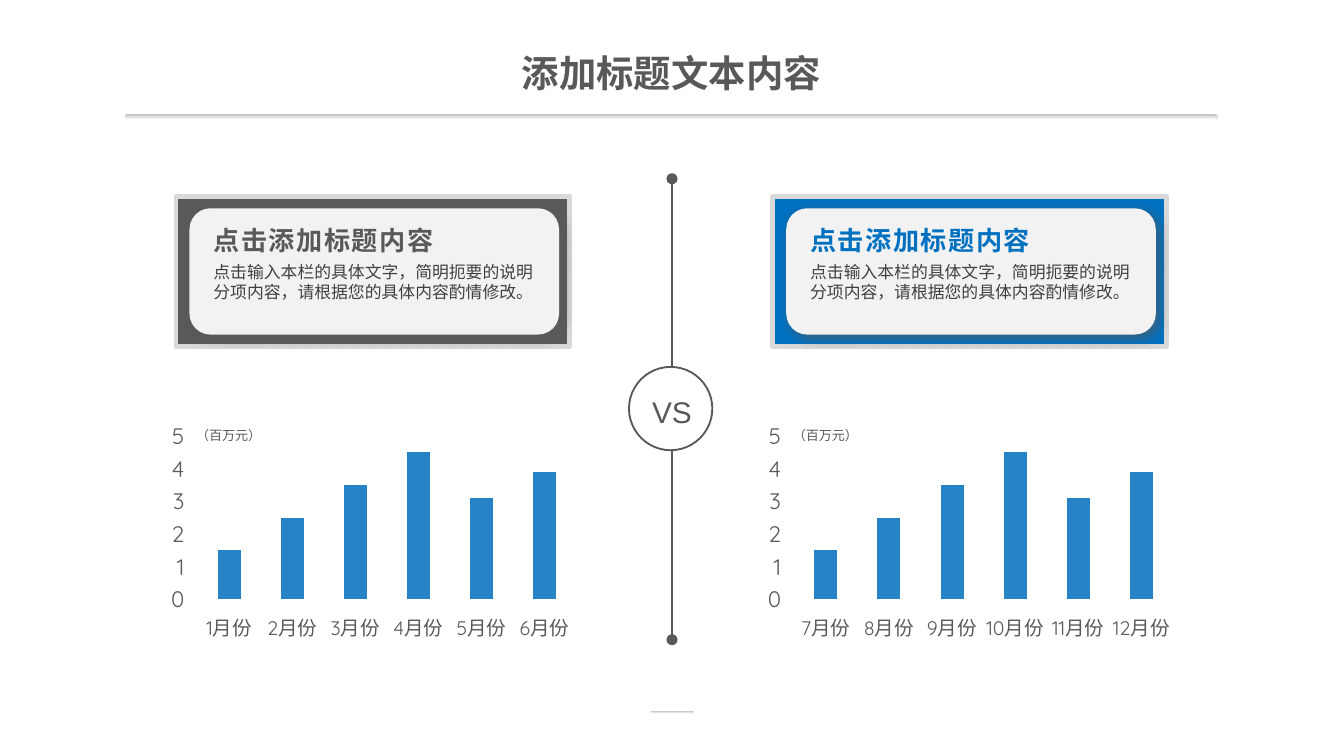
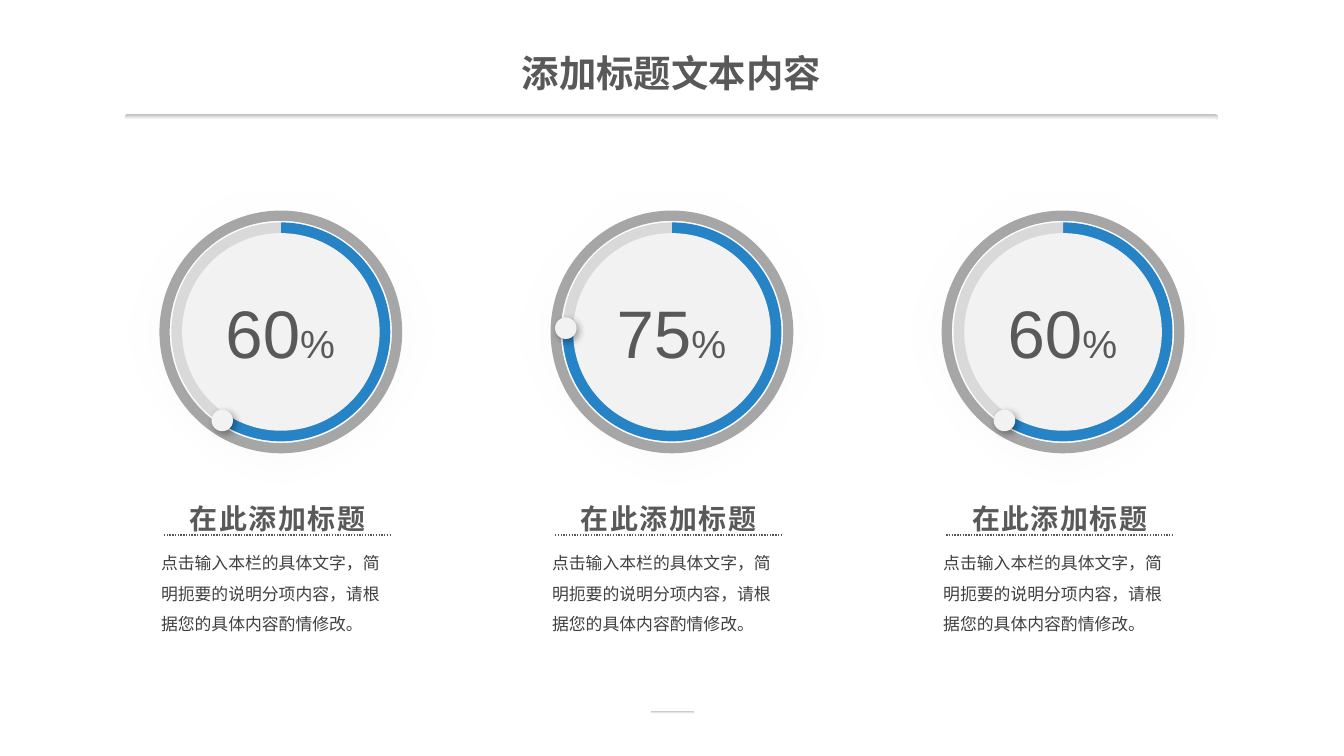
from dataclasses import dataclass
from math import cos, radians, sin

from lxml import etree
from pptx import Presentation
from pptx import util as u
from pptx.chart.data import CategoryChartData
from pptx.dml.color import RGBColor
from pptx.enum import chart as ch, dml, shapes, text
from pptx.oxml import parse_xml
from pptx.oxml.ns import nsdecls, qn

OVAL = shapes.MSO_SHAPE.OVAL
ROUND = shapes.MSO_SHAPE.ROUNDED_RECTANGLE
LEFT, MID = text.PP_ALIGN.LEFT, text.PP_ALIGN.CENTER
TIGHT = (0.07, 0.04)
WIDE = 10
HIGH = WIDE * 9 / 16


@dataclass(frozen=True)
class Theme:
    ink: str = "595959"
    body: str = "404040"
    blue: str = "0070C0"
    bar: str = "2683C6"
    track: str = "D9D9D9"
    ring: str = "A6A6A6"
    rule: str = "BFBFBF"
    pale: str = "F2F2F2"
    white: str = "FFFFFF"
    black: str = "000000"
    font: str = "Arial"
    han: str = "Noto Sans CJK SC"
    digit: str = "Quicksand"
    plain: str = "DejaVu Sans"
    title: float = 20
    head: float = 14
    label: float = 15
    versus: float = 16
    note: float = 9
    unit: float = 7
    chart: float = 10
    month: float = 10.5
    scale: float = 12
    score: float = 36
    sign: float = 21


def rgb(code):
    return RGBColor.from_string(code)


def inch(*sizes):
    return [u.Inches(size) for size in sizes]


def disc(x, y, size):
    return x - size / 2, y - size / 2, size, size


class Deck:
    def __init__(self, theme):
        self.theme = theme
        self.file = Presentation()
        self.file.slide_width, self.file.slide_height = inch(WIDE, HIGH)
        self.slide = None

    def start(self, title):
        t = self.theme
        self.slide = self.file.slides.add_slide(self.file.slide_layouts[6])
        for at in ((0.93, 0.85, 8.13, 0.04), (4.84, 5.29, 0.32, 0.02)):
            self.shape(ROUND, at, fill=(t.rule, t.white), adj=0.5)
        self.text((3.07, 0.33, 3.85, 0.41), [(title, t.title)],
                  align=MID, bold=True, pad=TIGHT)

    def shape(self, kind, at, fill=None, line=None, width=1, adj=None, shade=None):
        item = self.slide.shapes.add_shape(kind, *inch(*at))
        item.shadow.inherit = False
        if adj is not None:
            item.adjustments[0] = adj
        if fill is None:
            item.fill.background()
        elif isinstance(fill, tuple):
            item.fill.gradient()
            item.fill.gradient_angle = 270
            for stop, code in zip(item.fill.gradient_stops, fill):
                stop.color.rgb = rgb(code)
        else:
            item.fill.solid()
            item.fill.fore_color.rgb = rgb(fill)
        if line:
            item.line.color.rgb = rgb(line)
            item.line.width = u.Pt(width)
        else:
            item.line.fill.background()
        if shade:
            self.shade(item, *shade)
        return item

    def shade(self, item, code, alpha, blur, dist):
        item._element.spPr.find(qn("a:effectLst")).append(parse_xml(
            f'<a:outerShdw {nsdecls("a")} blurRad="{u.Pt(blur)}" dist="{u.Pt(dist)}" '
            f'dir="2700000" algn="tl" rotWithShape="0"><a:srgbClr val="{code}">'
            f'<a:alpha val="{alpha * 1000}"/></a:srgbClr></a:outerShdw>'))

    def glow(self, at):
        t = self.theme
        props = self.shape(OVAL, at, fill=(t.white, t.rule))._element.spPr
        for code in props.iter(qn("a:srgbClr")):
            etree.SubElement(code, qn("a:alpha")).set("val", "5000")
        edge = etree.SubElement(props.find(qn("a:effectLst")), qn("a:softEdge"))
        edge.set("rad", str(u.Inches(0.2)))

    def line(self, start, end, width, dash=None, dot=False):
        item = self.slide.shapes.add_connector(
            shapes.MSO_CONNECTOR.STRAIGHT, *inch(*start, *end))
        item.line.color.rgb = rgb(self.theme.ink)
        item.line.width = u.Pt(width)
        if dash:
            item.line.dash_style = dash
        props = item._element.spPr
        if dot:
            etree.SubElement(props.find(qn("a:ln")), qn("a:tailEnd")).set("type", "oval")
        etree.SubElement(props, qn("a:effectLst"))

    def text(self, at, runs, color=None, font=None, align=LEFT, bold=False,
             space=0, lead=None, pad=(0.1, 0.05), wrap=True):
        t = self.theme
        frame = self.slide.shapes.add_textbox(*inch(*at)).text_frame
        frame.word_wrap = wrap
        frame.auto_size = text.MSO_AUTO_SIZE.SHAPE_TO_FIT_TEXT
        frame.margin_left = frame.margin_right = u.Inches(pad[0])
        frame.margin_top = frame.margin_bottom = u.Inches(pad[1])
        para = frame.paragraphs[0]
        para.alignment = align
        para.line_spacing = lead
        for words, size in runs:
            run = para.add_run()
            run.text = words
            run.font.name = font or t.font
            run.font.size = u.Pt(size)
            run.font.bold = bold
            run.font.color.rgb = rgb(color or t.ink)
            props = run._r.get_or_add_rPr()
            etree.SubElement(props, qn("a:ea")).set("typeface", t.han)
            if space:
                props.set("spc", str(round(space * 100)))

    def note(self, at, words, lead=None):
        t = self.theme
        self.text(at, [(words, t.note)], color=t.body, font=t.han, lead=lead)

    def chart(self, kind, at, names, vals, inner):
        t = self.theme
        data = CategoryChartData()
        data.categories = names
        data.add_series("Series 1", vals)
        chart = self.slide.shapes.add_chart(kind, *inch(*at), data).chart
        chart.has_title = chart.has_legend = False
        chart.font.name, chart.font.size = t.plain, u.Pt(t.chart)
        chart.font.color.rgb = rgb(t.black)
        area = chart._chartSpace.find(".//" + qn("c:plotArea"))
        for old in area.findall(qn("c:layout")):
            area.remove(old)
        parts = "".join(f'<c:{key} val="{val:.4f}"/>' for key, val in zip("xywh", inner))
        area.insert(0, parse_xml(
            f'<c:layout {nsdecls("c")}><c:manualLayout><c:layoutTarget val="inner"/>'
            f'<c:xMode val="edge"/><c:yMode val="edge"/>{parts}'
            f'</c:manualLayout></c:layout>'))
        return chart

    def bars(self, at, names, vals):
        t = self.theme
        chart = self.chart(ch.XL_CHART_TYPE.COLUMN_CLUSTERED, at, names, vals,
                           (0.08, 0.08, 0.9, 0.72))
        plot = chart.plots[0]
        plot.vary_by_categories = False
        plot.gap_width, plot.overlap = 175, -27
        fill = plot.series[0].format.fill
        fill.solid()
        fill.fore_color.rgb = rgb(t.bar)
        for axis, size in ((chart.category_axis, t.month), (chart.value_axis, t.scale)):
            axis.has_major_gridlines = False
            axis.major_tick_mark = ch.XL_TICK_MARK.OUTSIDE
            axis.format.line.fill.background()
            font = axis.tick_labels.font
            font.name, font.size = t.digit, u.Pt(size)
            font.color.rgb = rgb(t.ink)
        axis = chart.value_axis
        axis.minimum_scale, axis.maximum_scale, axis.major_unit = 0, 5, 1

    def donut(self, x, y, score):
        t = self.theme
        wide, high, size = 2.22, 1.91, 1.63
        inner = ((1 - size / wide) / 2, (1 - size / high) / 2, size / wide, size / high)
        chart = self.chart(ch.XL_CHART_TYPE.DOUGHNUT,
                           (x - wide / 2, y - high / 2, wide, high),
                           ("1", "2"), (score, 100 - score), inner)
        chart._chartSpace.find(".//" + qn("c:holeSize")).set("val", "86")
        for spot, code in enumerate((t.bar, t.track)):
            part = chart.plots[0].series[0].points[spot].format
            part.fill.solid()
            part.fill.fore_color.rgb = rgb(code)
            part.line.fill.background()

    def card(self, x, color, head, words):
        t = self.theme
        self.shape(ROUND, (x, 1.46, 2.93, 1.12), fill=color,
                   line=t.track, width=2.5, adj=0)
        self.shape(ROUND, (x + 0.1, 1.55, 2.75, 0.94), fill=t.pale,
                   shade=(t.ink, 64, 6, 3))
        self.note((x + 0.18, 1.9, 2.6, 0.4), words)
        self.text((x + 0.18, 1.62, 1.93, 0.34), [(head, t.head)],
                  color=color, bold=True, space=0.8)

    def gauge(self, x, y, score, angle):
        t = self.theme
        self.glow(disc(x, y, 2.46))
        self.donut(x, y, score)
        self.shape(OVAL, disc(x, y, 1.73), line=t.ring, width=5.5)
        self.shape(OVAL, disc(x, y, 1.47), fill=t.pale)
        self.text((x - 0.51, y - 0.34, 1.01, 0.68),
                  [(str(score), t.score), ("%", t.sign)],
                  align=MID, pad=TIGHT, wrap=False)
        turn = radians(angle)
        self.shape(OVAL, disc(x + 0.79 * sin(turn), y - 0.79 * cos(turn), 0.16),
                   fill=t.pale, shade=(t.black, 35, 4, 2))

    def label(self, x, head, words):
        t = self.theme
        self.note((x - 0.97, 3.99, 1.93, 0.98), words, lead=1.5)
        self.text((x - 0.92, 3.68, 1.83, 0.35), [(head, t.label)],
                  align=MID, bold=True, space=0.8)
        self.line((x - 0.85, 3.98), (x + 0.84, 3.98), 0.75,
                  dash=dml.MSO_LINE.ROUND_DOT)


def main():
    t = Theme()
    deck = Deck(t)
    title = "添加标题文本内容"
    words = "点击输入本栏的具体文字，简明扼要的说明分项内容，请根据您的具体内容酌情修改。"

    deck.start(title)
    deck.shape(OVAL, disc(4.99, 3.04, 0.62), line=t.ink)
    for near, far in ((2.73, 1.33), (3.35, 4.76)):
        deck.line((5, near), (5, far), 1, dot=True)
    deck.text((4.75, 2.88, 0.5, 0.37), [("VS", t.versus)], align=MID)
    sales = (1.5, 2.5, 3.5, 4.5, 3.1, 3.9)
    for x, first, color in ((1.31, 1, t.ink), (5.75, 7, t.blue)):
        months = [f"{month}月份" for month in range(first, first + 6)]
        deck.bars((x - 0.09, 3.11, 3.13, 1.69), months, sales)
        deck.text((x + 0.08, 3.14, 0.73, 0.19), [("（百万元）", t.unit)], pad=TIGHT)
        deck.card(x, color, "点击添加标题内容", words)

    deck.start(title)
    for spot, (score, angle) in enumerate(((60, 213.5), (75, 272), (60, 213.5))):
        x = 2.09 + 2.91 * spot
        deck.gauge(x, 2.47, score, angle)
        deck.label(x - 0.02, "在此添加标题", words)

    deck.file.save("out.pptx")


if __name__ == "__main__":
    main()
